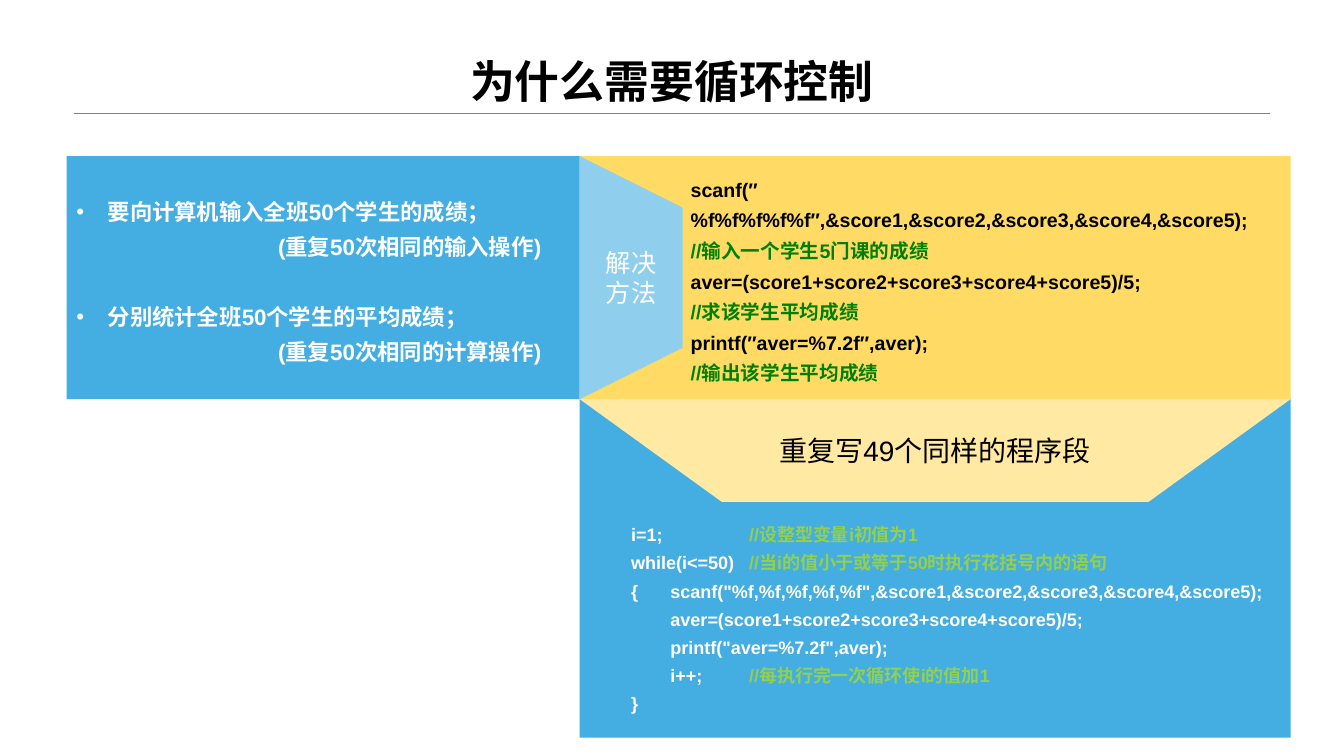
"""Build the slide explaining why loop control is needed."""
from dataclasses import dataclass

from lxml.etree import SubElement
from pptx import Presentation
from pptx.dml.color import RGBColor
from pptx.enum.shapes import MSO_CONNECTOR as Connector, MSO_SHAPE as Shape
from pptx.enum.text import MSO_ANCHOR as Anchor, PP_ALIGN as Align
from pptx.oxml.ns import qn
from pptx.util import Pt


@dataclass(frozen=True)
class Theme:
    blue: str = "44ADE1"
    pale_blue: str = "8FCEED"
    yellow: str = "FFDB65"
    pale_yellow: str = "FFE9A3"
    white: str = "FFFFFF"
    black: str = "000000"
    green: str = "008000"
    lime: str = "92D050"
    grey: str = "808080"
    latin: str = "Arial"
    chinese: str = "Noto Sans CJK SC"
    title: float = 32
    step: float = 20
    method: float = 18
    task: float = 16
    code: float = 14
    loop: float = 12.9


THEME = Theme()
SCALE = 9144
PAGE = (1333, 750)
LEFT, MIDDLE, RIGHT = 66, 575, 1280
TOP, SPLIT, BOTTOM = 155, 396, 732
RULE = (73, 1260, 112)
FUNNEL_SIZE, FUNNEL_INSET = 102, 51
LINE_SPACING = 1.3
TASK_GAP = 25

TITLE = "为什么需要循环控制"
METHOD = ["解决", "方法"]
STEP = ["重复写49个同样的程序段"]
TASKS = [
    ("要向计算机输入全班50个学生的成绩；", "\t\t(重复50次相同的输入操作)"),
    ("分别统计全班50个学生的平均成绩；", "\t\t(重复50次相同的计算操作)"),
]
SINGLE_CODE = [
    "scanf(″%f%f%f%f%f″,&score1,&score2,&score3,&score4,&score5);",
    "//输入一个学生5门课的成绩",
    "aver=(score1+score2+score3+score4+score5)/5;",
    "//求该学生平均成绩",
    "printf(″aver=%7.2f″,aver);",
    "//输出该学生平均成绩",
]
LOOP_CODE = [
    "i=1;\t\t\t//设整型变量i初值为1",
    "while(i<=50)\t//当i的值小于或等于50时执行花括号内的语句",
    '{\tscanf("%f,%f,%f,%f,%f",&score1,&score2,&score3,&score4,&score5);',
    "\taver=(score1+score2+score3+score4+score5)/5;",
    '\tprintf("aver=%7.2f",aver);',
    "\ti++;\t\t//每执行完一次循环使i的值加1",
    "}",
]


def px(length):
    return round(length * SCALE)


def color(value):
    return RGBColor.from_string(value)


def add_span(para, text, *, size, ink, bold=False, latin=THEME.latin):
    span = para.add_run()
    span.text = text
    font = span.font
    font.size, font.bold, font.name = Pt(size), bold, latin
    font.color.rgb = color(ink)
    SubElement(span._r.get_or_add_rPr(), qn("a:ea"), typeface=THEME.chinese)


def add_bullet(para, indent):
    properties = para._p.get_or_add_pPr()
    properties.set("marL", str(px(indent)))
    properties.set("indent", str(px(-indent)))
    SubElement(properties, qn("a:buFont"), typeface=THEME.latin)
    SubElement(properties, qn("a:buChar"), char="•")


def add_tabs(para, step, count):
    stops = SubElement(para._p.get_or_add_pPr(), qn("a:tabLst"))
    for index in range(1, count + 1):
        SubElement(stops, qn("a:tab"), pos=str(px(index * step)), algn="l")


def write(box, lines, *, size, ink, remark=None, bold=False, align=Align.LEFT,
          spacing=None, insets=(10, 4, 10, 4), tab=None, bullets=(), gap=0):
    frame = box.text_frame
    frame.word_wrap = True
    frame.vertical_anchor = Anchor.MIDDLE
    (frame.margin_left, frame.margin_top,
     frame.margin_right, frame.margin_bottom) = map(px, insets)
    for index, line in enumerate(lines):
        para = frame.add_paragraph() if index else frame.paragraphs[0]
        if index in bullets:
            add_bullet(para, 31)
        if tab:
            add_tabs(para, tab, 3)
        para.alignment = align
        if spacing:
            para.line_spacing = spacing
        if index and index in bullets:
            para.space_before = Pt(gap)
        statement, slashes, note = line.partition("//")
        for text, shade in ((statement, ink), (slashes + note, remark or ink)):
            if text:
                add_span(para, text, size=size, ink=shade, bold=bold)


def paint(shape, fill):
    shape.shadow.inherit = False
    shape.fill.solid()
    shape.fill.fore_color.rgb = color(fill)
    shape.line.fill.background()
    return shape


def add_panel(page, kind, left, top, right, bottom, fill):
    bounds = map(px, (left, top, right - left, bottom - top))
    return paint(page.shapes.add_shape(kind, *bounds), fill)


def add_heading(page):
    start, end, level = RULE
    rule = page.shapes.add_connector(Connector.STRAIGHT, *map(px, (start, level, end, level)))
    rule.line.color.rgb = color(THEME.grey)
    rule.line.width = Pt(0.25)
    SubElement(rule._element.spPr, qn("a:effectLst"))
    title = page.shapes.title
    title.left, title.top, title.width, title.height = map(px, (start, 0, end - start, level))
    title.text_frame.vertical_anchor = Anchor.BOTTOM
    para = title.text_frame.paragraphs[0]
    para.alignment, para.line_spacing = Align.CENTER, 0.9
    add_span(para, TITLE, size=THEME.title, ink=THEME.black, bold=True, latin=THEME.chinese)


def add_method_funnel(page):
    tip = MIDDLE + FUNNEL_SIZE
    builder = page.shapes.build_freeform(MIDDLE, TOP, scale=SCALE)
    builder.add_line_segments(
        [(tip, TOP + FUNNEL_INSET), (tip, SPLIT - FUNNEL_INSET), (MIDDLE, SPLIT)], close=True)
    funnel = paint(builder.convert_to_shape(), THEME.pale_blue)
    write(funnel, METHOD, size=THEME.method, ink=THEME.white, align=Align.CENTER)


def main():
    deck = Presentation()
    deck.slide_width, deck.slide_height = map(px, PAGE)
    page = deck.slides.add_slide(deck.slide_layouts[5])
    add_heading(page)

    loop = add_panel(page, Shape.RECTANGLE, MIDDLE, SPLIT, RIGHT, BOTTOM, THEME.blue)
    write(loop, LOOP_CODE, size=THEME.loop, ink=THEME.white, remark=THEME.lime, bold=True,
          spacing=LINE_SPACING, insets=(51, 98, 10, 4), tab=39)

    step = add_panel(page, Shape.FLOWCHART_MANUAL_OPERATION,
                     MIDDLE, SPLIT, RIGHT, SPLIT + FUNNEL_SIZE, THEME.pale_yellow)
    write(step, STEP, size=THEME.step, ink=THEME.black, align=Align.CENTER, insets=(7, 4, 7, 4))

    single = add_panel(page, Shape.RECTANGLE, MIDDLE, TOP, RIGHT, SPLIT, THEME.yellow)
    write(single, SINGLE_CODE, size=THEME.code, ink=THEME.black, remark=THEME.green, bold=True,
          spacing=LINE_SPACING, insets=(110, 4, 10, 4))

    tasks = add_panel(page, Shape.RECTANGLE, LEFT, TOP, MIDDLE, SPLIT, THEME.blue)
    write(tasks, [line for task in TASKS for line in task], size=THEME.task, ink=THEME.white,
          bold=True, spacing=LINE_SPACING, tab=100, bullets=(0, 2), gap=TASK_GAP)

    add_method_funnel(page)
    deck.save("out.pptx")


if __name__ == "__main__":
    main()
